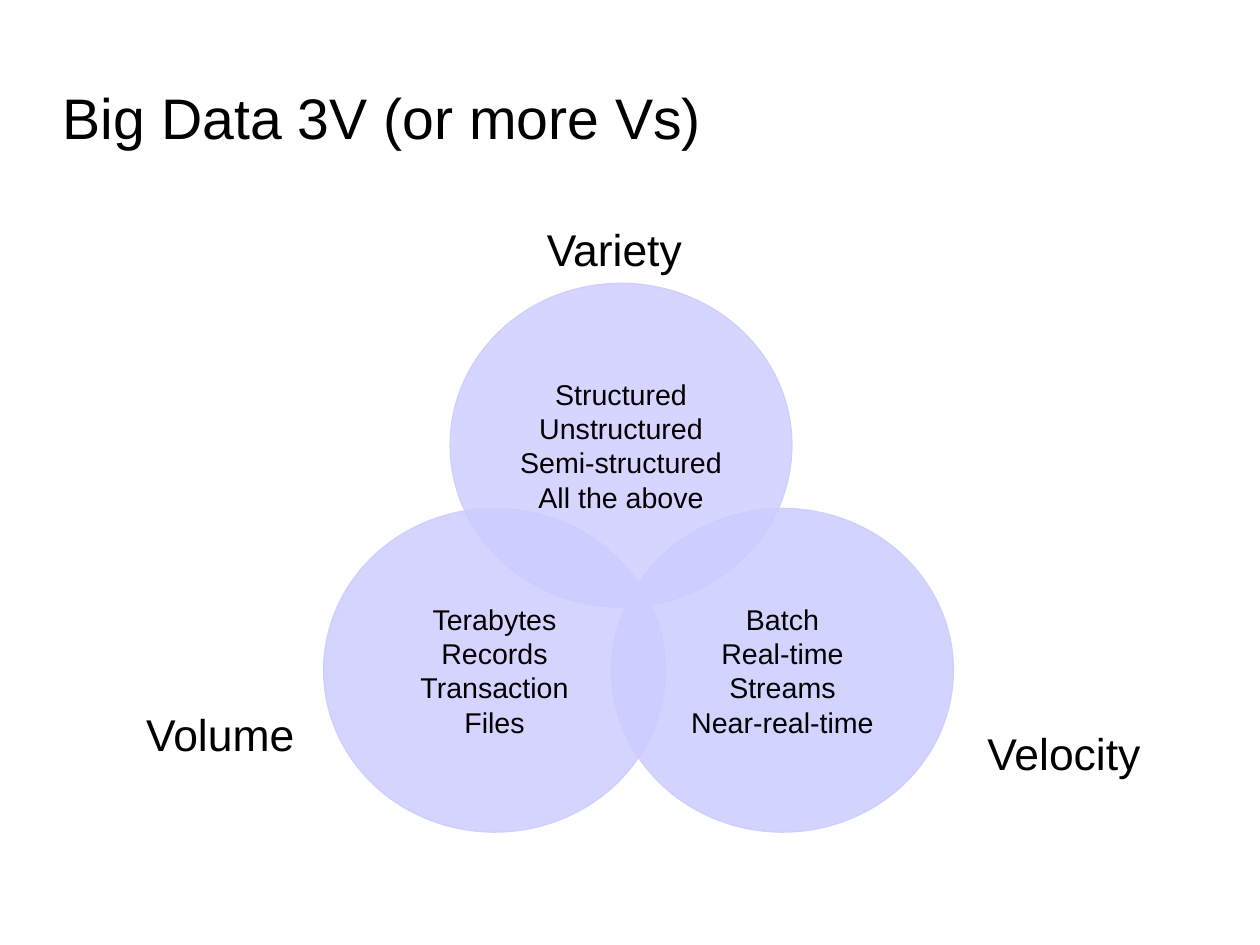
import lxml.etree
import pptx
import pptx.dml.color
import pptx.enum.shapes
import pptx.enum.text
import pptx.oxml.ns
import pptx.util

Pt = pptx.util.Pt
qn = pptx.oxml.ns.qn
ANCHOR = pptx.enum.text.MSO_ANCHOR
ALIGN = pptx.enum.text.PP_ALIGN
LILAC = "CCCCFF"


def paint(fill, hex_color):
    fill.solid()
    fill.fore_color.rgb = pptx.dml.color.RGBColor.from_string(hex_color)


def write(tf, lines, size, align):
    for i, line in enumerate(lines):
        p = tf.paragraphs[0] if i == 0 else tf.add_paragraph()
        p.alignment = align
        r = p.add_run()
        r.text = line
        r.font.size = Pt(size)
        r.font.name = "Arial"
        paint(r.font.fill, "000000")


prs = pptx.Presentation()
prs.slide_width, prs.slide_height = Pt(793.7), Pt(595.28)
s = prs.slides.add_slide(prs.slide_layouts[5])
paint(s.background.fill, "FFFFFF")

title = s.shapes.title
title.left, title.top, title.width, title.height = Pt(39.6), Pt(45), Pt(566.6), Pt(56.9)
tf = title.text_frame
tf.margin_left = tf.margin_right = tf.margin_top = tf.margin_bottom = 0
tf.vertical_anchor = ANCHOR.MIDDLE
tf.word_wrap = True
write(tf, ["Big Data 3V (or more Vs)"], 36, ALIGN.LEFT)

# Circles: left, top, opacity in percent, lines
circles = [
    (203.8, 320.2, 83, ["Terabytes", "Records", "Transaction", "Files"]),
    (385.2, 320.2, 85, ["Batch", "Real-time", "Streams", "Near-real-time"]),
    (283.5, 178.4, 82, ["Structured", "Unstructured", "Semi-structured", "All the above"]),
]
for left, top, opacity, lines in circles:
    sp = s.shapes.add_shape(pptx.enum.shapes.MSO_SHAPE.OVAL,
                            Pt(left), Pt(top), Pt(215.4), Pt(204))
    sp.shadow.inherit = False
    paint(sp.fill, LILAC)
    paint(sp.line.fill, LILAC)
    sp.line.width = Pt(0)
    colors = sp.element.spPr.iter(qn("a:srgbClr"))
    for color, percent in zip(colors, (opacity, 90)):
        lxml.etree.SubElement(color, qn("a:alpha")).set("val", str(percent * 1000))
    tf = sp.text_frame
    tf.word_wrap = False
    tf.vertical_anchor = ANCHOR.MIDDLE
    write(tf, lines, 18, ALIGN.CENTER)

# Labels: name, left, top, width
labels = [
    ("Volume", 85, 442.1, 108),
    ("Velocity", 614.9, 453.6, 110.9),
    ("Variety", 337.4, 136.1, 99.4),
]
for name, left, top, width in labels:
    sp = s.shapes.add_textbox(Pt(left), Pt(top), Pt(width), Pt(38.2))
    tf = sp.text_frame
    tf.word_wrap = False
    tf.auto_size = pptx.enum.text.MSO_AUTO_SIZE.SHAPE_TO_FIT_TEXT
    write(tf, [name], 28, ALIGN.LEFT)

prs.save("out.pptx")
